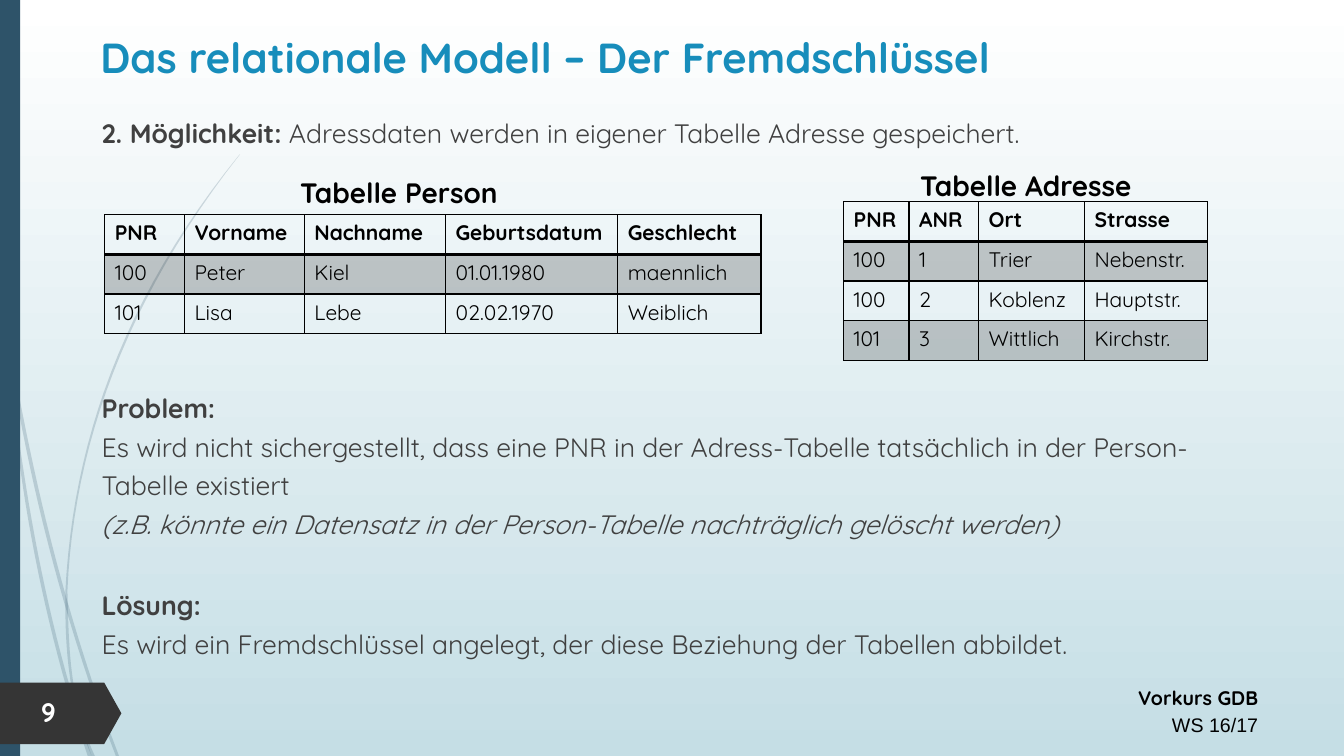
from dataclasses import dataclass
from typing import Optional, Union

from pptx import Presentation
from pptx.dml.color import RGBColor as RGB
from pptx.enum.shapes import MSO_SHAPE as SHAPE
from pptx.enum.text import MSO_ANCHOR as ANCHOR, PP_ALIGN as ALIGN
from pptx.oxml import parse_xml
from pptx.oxml.ns import nsdecls, qn
from pptx.util import Cm, Pt


@dataclass(frozen=True)
class Theme:
    font: str = "Quicksand"
    plain_font: str = "Arial"
    sky: RGB = RGB(0xFF, 0xFF, 0xFF)
    haze: RGB = RGB(0xC5, 0xDE, 0xE5)
    navy: RGB = RGB(0x2E, 0x53, 0x69)
    blue: RGB = RGB(0x17, 0x8D, 0xBB)
    tag: RGB = RGB(0x35, 0x35, 0x35)
    body: RGB = RGB(0x40, 0x40, 0x40)
    black: RGB = RGB(0, 0, 0)
    white: RGB = RGB(0xFF, 0xFF, 0xFF)
    title_pt: float = 30
    caption_pt: float = 20
    body_pt: float = 19
    cell_pt: float = 15
    footer_pt: float = 14
    body_line: Pt = Pt(27.4)
    opacity: int = 20


T = Theme()


@dataclass(frozen=True)
class Run:
    text: str
    bold: bool = False
    italic: bool = False


@dataclass(frozen=True)
class Para:
    lines: list[Optional[Run]]  # None marks a line break
    size: float
    color: RGB
    font: str = T.font
    align: ALIGN = ALIGN.LEFT
    spacing: Optional[Union[float, Pt]] = None
    before: float = 0


@dataclass(frozen=True)
class TextBox:
    box: tuple[float, float, float, float]  # left, top, width, height in cm
    paras: list[Para]
    wrap: bool = True


@dataclass(frozen=True)
class DataTable:
    left: float
    top: float
    widths: list[float]
    rows: list[list[str]]


@dataclass(frozen=True)
class Strand:
    """Thin curve; each edge gives x in cm at four evenly spaced heights."""
    top: float
    bottom: float
    left: tuple[float, ...]
    right: tuple[float, ...]


STRANDS = [
    Strand(7.37, 19.05, (0, 0.65, 1.61, 2.92), (0.04, 0.74, 1.7, 3)),
    Strand(3.89, 14.88, (6.04, 3.62, 2.21, 1.65), (6.05, 3.68, 2.26, 1.7)),
    Strand(14.88, 19.05, (1.65, 1.68, 1.87, 2.31), (1.7, 1.75, 1.93, 2.39)),
    Strand(8.89, 19.05, (0.2, 0.58, 1.24, 2.21), (0.21, 0.66, 1.33, 2.31)),
]

TABLES = [
    DataTable(2.64, 5.41, [2.01, 3.02, 3.56, 4.34, 3.61], [
        ["PNR", "Vorname", "Nachname", "Geburtsdatum", "Geschlecht"],
        ["100", "Peter", "Kiel", "01.01.1980", "maennlich"],
        ["101", "Lisa", "Lebe", "02.02.1970", "Weiblich"]]),
    DataTable(21.26, 5.08, [1.65, 1.75, 2.67, 3.1], [
        ["PNR", "ANR", "Ort", "Strasse"],
        ["100", "1", "Trier", "Nebenstr."],
        ["100", "2", "Koblenz", "Hauptstr."],
        ["101", "3", "Wittlich", "Kirchstr."]]),
]


def body_para(lines: list[Optional[Run]], before: float = 0) -> Para:
    return Para(lines, T.body_pt, T.body, spacing=T.body_line, before=before)


def footer_para(run: Run, font: str) -> Para:
    return Para([run], T.footer_pt, T.black, font, ALIGN.RIGHT, 1.14)


def caption(left: float, top: float, text: str) -> TextBox:
    para = Para([Run(text, True)], T.caption_pt, T.black, align=ALIGN.CENTER)
    return TextBox((left, top, 5.89, 1.12), [para], wrap=False)


TEXTS = [
    TextBox((18.75, 17.07, 13.21, 1.63), [
        footer_para(Run("Vorkurs GDB", True), T.font),
        footer_para(Run("WS 16/17"), T.plain_font)]),
    TextBox((0.79, 17.42, 1.78, 1.07), [Para([Run("9", True)], T.body_pt, T.white)]),
    TextBox((1.63, 0.66, 24.23, 2.06), [
        Para([Run("Das relationale Modell – Der Fremdschlüssel", True)], T.title_pt, T.blue,
             align=ALIGN.CENTER)]),
    TextBox((2.31, 2.67, 29.46, 15.16), [
        body_para([Run("2. Möglichkeit: ", True),
                   Run("Adressdaten werden in eigener Tabelle Adresse gespeichert.")]),
        body_para([Run("Problem:", True), None,
                   Run("Es wird nicht sichergestellt, dass eine PNR in der Adress-Tabelle "
                       "tatsächlich in der Person-Tabelle existiert"), None,
                   Run("(z.B. könnte ein Datensatz in der Person-Tabelle nachträglich "
                       "gelöscht werden)", italic=True)], before=169),
        body_para([Run("Lösung:", True), None,
                   Run("Es wird ein Fremdschlüssel angelegt, der diese Beziehung der "
                       "Tabellen abbildet.")], before=31)]),
    caption(7.11, 4.29, "Tabelle Person"),
    caption(22.91, 4.11, "Tabelle Adresse"),
]


def set_opacity(props, percent: int) -> None:
    color = props.find(qn("a:solidFill"))[0]
    color.append(parse_xml(f'<a:alpha {nsdecls("a")} val="{percent * 1000}"/>'))


def paint(sp, color: RGB) -> None:
    sp.shadow.inherit = False
    sp.fill.solid()
    sp.fill.fore_color.rgb = color
    sp.line.fill.background()


def cubic(values: tuple[float, ...], t: float) -> float:
    """Value at t (0 to 1) of the cubic through four evenly spaced values."""
    total = 0.0
    for i, value in enumerate(values):
        for j in range(len(values)):
            if j != i:
                value *= (3 * t - j) / (i - j)
        total += value
    return total


def draw_strand(s, strand: Strand, steps: int = 24) -> None:
    def edge(xs: tuple[float, ...]) -> list[tuple[int, int]]:
        height = strand.bottom - strand.top
        return [(Cm(cubic(xs, k / steps)), Cm(strand.top + height * k / steps))
                for k in range(steps + 1)]

    pts = edge(strand.left) + edge(strand.right)[::-1]
    builder = s.shapes.build_freeform(*pts[0])
    builder.add_line_segments(pts[1:], close=True)
    sp = builder.convert_to_shape()
    paint(sp, T.navy)
    set_opacity(sp._element.spPr, T.opacity)


def draw_text(s, item: TextBox) -> None:
    tf = s.shapes.add_textbox(*map(Cm, item.box)).text_frame
    tf.word_wrap = item.wrap
    tf.vertical_anchor = ANCHOR.TOP
    for i, para in enumerate(item.paras):
        p = tf.add_paragraph() if i else tf.paragraphs[0]
        p.alignment, p.line_spacing = para.align, para.spacing
        p.space_before = Pt(para.before)
        p.font.name, p.font.size = para.font, Pt(para.size)
        p.font.color.rgb = para.color
        for run in para.lines:
            if run is None:
                p.add_line_break()
                continue
            r = p.add_run()
            r.text, r.font.bold, r.font.italic = run.text, run.bold, run.italic


def set_border(tc_pr, side: str, width: float) -> None:
    tc_pr.append(parse_xml(
        f'<a:ln{side} {nsdecls("a")} w="{Pt(width)}"><a:solidFill>'
        f'<a:srgbClr val="{T.black}"/></a:solidFill></a:ln{side}>'))


def draw_table(s, data: DataTable) -> None:
    table = s.shapes.add_table(len(data.rows), len(data.widths), Cm(data.left), Cm(data.top),
                               Cm(sum(data.widths)), Cm(len(data.rows))).table
    table.first_row = table.horz_banding = False
    for col, width in zip(table.columns, data.widths):
        col.width = Cm(width)
    for i, row in enumerate(data.rows):
        table.rows[i].height = Cm(1)
        for j, text in enumerate(row):
            cell = table.cell(i, j)
            p = cell.text_frame.paragraphs[0]
            p.add_run().text = text
            p.font.name, p.font.size, p.font.bold = T.font, Pt(T.cell_pt), i == 0
            p.font.color.rgb = T.black
            tc_pr = cell._tc.get_or_add_tcPr()
            for side in "LRTB":
                set_border(tc_pr, side, 2 if (i, side) in ((0, "B"), (1, "T")) else 1)
            if i % 2:
                cell.fill.solid()
                cell.fill.fore_color.rgb = T.black
                set_opacity(tc_pr, T.opacity)
            else:
                cell.fill.background()


def main() -> None:
    prs = Presentation()
    prs.slide_width, prs.slide_height = Cm(33.87), Cm(19.05)
    s = prs.slides.add_slide(prs.slide_layouts[6])

    # Background gradient, top to bottom
    fill = s.background.fill
    fill.gradient()
    fill.gradient_angle = 270
    for stop, color in zip(fill.gradient_stops, (T.sky, T.haze)):
        stop.color.rgb = color

    # Strands, side bar and page tag
    for strand in STRANDS:
        draw_strand(s, strand)
    paint(s.shapes.add_shape(SHAPE.RECTANGLE, 0, 0, Cm(0.51), prs.slide_height), T.navy)
    tag = s.shapes.add_shape(SHAPE.PENTAGON, 0, Cm(17.2), Cm(3.06), Cm(1.55))
    tag.adjustments[0] = 0.28
    paint(tag, T.tag)

    # Tables and texts
    for data in TABLES:
        draw_table(s, data)
    for item in TEXTS:
        draw_text(s, item)
    prs.save("out.pptx")


if __name__ == "__main__":
    main()
